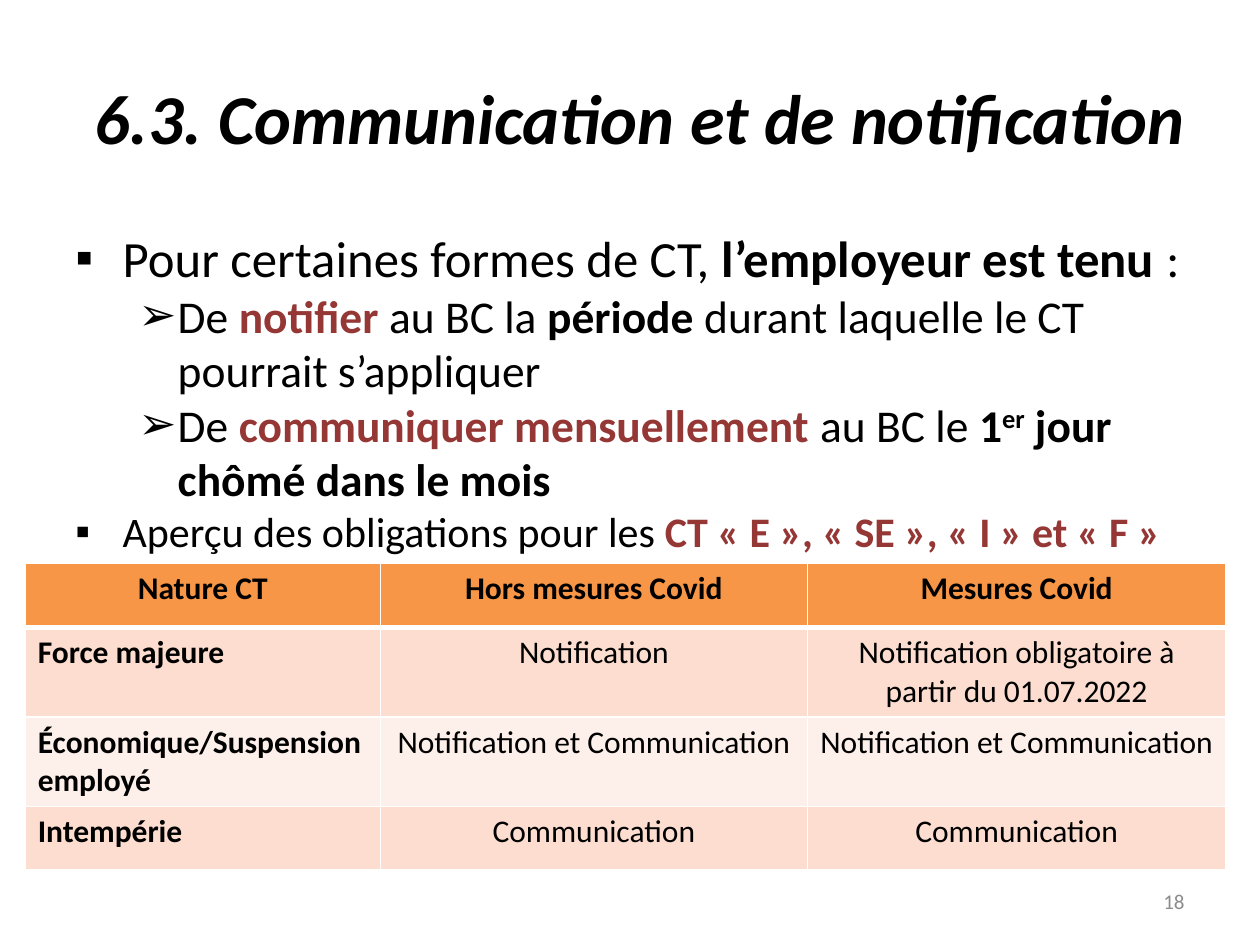
from dataclasses import dataclass

from lxml import etree
from pptx import Presentation
from pptx import util as u
from pptx.dml.color import RGBColor
from pptx.enum import text
from pptx.oxml import ns

FONT = "Calibri"
COLORS = {
    "ink": "000000",
    "accent": "953735",
    "muted": "8C8C8C",
    "header": "F79646",
    "band_dark": "FCDDCF",
    "band_light": "FDEFE9",
    "border": "FFFFFF",
}
LEFT, CENTER, RIGHT = (text.PP_ALIGN.LEFT, text.PP_ALIGN.CENTER,
                       text.PP_ALIGN.RIGHT)


@dataclass
class Run:
    text: str
    size: float
    bold: bool = False
    italic: bool = False
    color: str = "ink"
    superscript: bool = False


@dataclass
class Bullet:
    char: str
    margin: float
    hanging: float
    level: int
    runs: list[Run]


def add_xml(parent, tag: str, **attrs: str):
    return etree.SubElement(parent, ns.qn(tag), attrs)


def add_runs(p, runs: list[Run]) -> None:
    for run in runs:
        r = p.add_run()
        r.text = run.text
        form = {"name": FONT, "size": u.Pt(run.size),
                "bold": run.bold, "italic": run.italic}
        for name, value in form.items():
            setattr(r.font, name, value)
        r.font.color.rgb = RGBColor.from_string(COLORS[run.color])
        if run.superscript:
            r._r.get_or_add_rPr().set("baseline", "30000")


def add_box(s, left: float, top: float, width: float, height: float,
            anchor=text.MSO_ANCHOR.TOP):
    sp = s.shapes.add_textbox(*map(u.Pt, (left, top, width, height)))
    tf = sp.text_frame
    form = {"word_wrap": True, "auto_size": text.MSO_AUTO_SIZE.NONE,
            "vertical_anchor": anchor}
    for name, value in form.items():
        setattr(tf, name, value)
    return tf


def add_line(s, box: tuple, run: Run) -> None:
    p = add_box(s, *box, anchor=text.MSO_ANCHOR.MIDDLE).paragraphs[0]
    p.alignment = RIGHT
    add_runs(p, [run])


def add_bullet(p, item: Bullet) -> None:
    p.level = item.level
    pPr = p._p.get_or_add_pPr()
    pPr.set("marL", str(u.Pt(item.margin)))
    pPr.set("indent", str(-u.Pt(item.hanging)))
    add_xml(pPr, "a:buFont", typeface="Arial")
    add_xml(pPr, "a:buChar", char=item.char)
    add_runs(p, item.runs)


def fill_cell(cell, run: Run, align, fill: str, bottom: float) -> None:
    tcPr = cell._tc.get_or_add_tcPr()
    for side, width in zip("LRTB", (1, 1, 1, bottom)):
        ln = add_xml(tcPr, f"a:ln{side}", w=str(u.Pt(width)))
        add_xml(add_xml(ln, "a:solidFill"), "a:srgbClr", val=COLORS["border"])
    cell.fill.solid()
    cell.fill.fore_color.rgb = RGBColor.from_string(COLORS[fill])
    p = cell.text_frame.paragraphs[0]
    p.alignment = align
    add_runs(p, [run])


BULLETS = [
    Bullet("▪", 27, 27, 0, [
        Run("Pour certaines formes de CT, ", 29),
        Run("l’employeur est tenu ", 29, bold=True),
        Run(":", 28)]),
    Bullet("➢", 58.5, 22.5, 1, [
        Run("De ", 26),
        Run("notifier", 26, bold=True, color="accent"),
        Run(" au BC la ", 26),
        Run("période", 26, bold=True),
        Run(" durant laquelle le CT pourrait s’appliquer", 26)]),
    Bullet("➢", 58.5, 22.5, 1, [
        Run("De ", 26),
        Run("communiquer mensuellement ", 26, bold=True, color="accent"),
        Run("au BC le ", 26),
        Run("1", 26, bold=True),
        Run("er", 26, bold=True, superscript=True),
        Run(" jour chômé dans le mois", 26, bold=True)]),
    Bullet("▪", 27, 27, 1, [
        Run("Aperçu des obligations pour les ", 24),
        Run("CT « E », « SE », « I » et « F »", 24, bold=True,
            color="accent")]),
]

COLUMNS = [203, 244, 239.2]
ROW_HEIGHT = 36.5
ROWS = [
    ("Nature CT", "Hors mesures Covid", "Mesures Covid"),
    ("Force majeure", "Notification",
     "Notification obligatoire à partir du 01.07.2022"),
    ("Économique/Suspension employé", "Notification et Communication",
     "Notification et Communication"),
    ("Intempérie", "Communication", "Communication"),
]


def add_obligations(s) -> None:
    table = s.shapes.add_table(
        len(ROWS), len(COLUMNS), u.Pt(14.4), u.Pt(322),
        u.Pt(sum(COLUMNS)), u.Pt(ROW_HEIGHT * len(ROWS))).table
    for column, width in zip(table.columns, COLUMNS):
        column.width = u.Pt(width)
    for i, row in enumerate(ROWS):
        table.rows[i].height = u.Pt(ROW_HEIGHT)
        head = i == 0
        fill = "header" if head else "band_dark" if i % 2 else "band_light"
        for j, label in enumerate(row):
            fill_cell(table.cell(i, j), Run(label, 18, bold=head or j == 0),
                      CENTER if head or j else LEFT, fill, 3 if head else 1)


def main() -> None:
    prs = Presentation()
    prs.slide_width, prs.slide_height = u.Pt(720), u.Pt(540)
    s = prs.slides.add_slide(prs.slide_layouts[6])

    # Title
    add_line(s, (36, 21.6, 648, 90),
             Run("6.3. Communication et de notification", 40,
                 bold=True, italic=True))

    # Bulleted obligations
    tf = add_box(s, 36, 126, 648, 414)
    for i, item in enumerate(BULLETS):
        add_bullet(tf.add_paragraph() if i else tf.paragraphs[0], item)

    # Slide number
    add_line(s, (516, 500.5, 168, 28.75), Run("18", 12, color="muted"))

    # Overview table
    add_obligations(s)

    prs.save("out.pptx")


if __name__ == "__main__":
    main()
